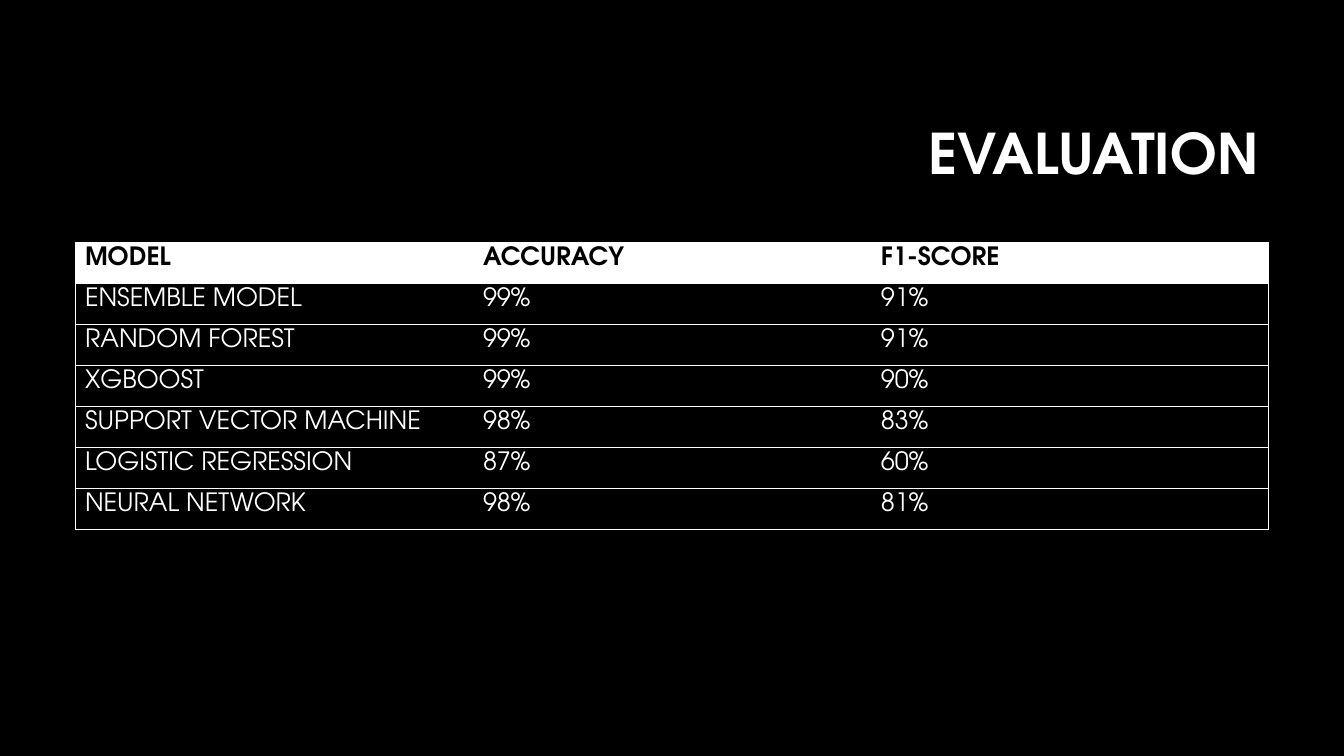
"""Build the model evaluation slide with its table of scores."""
import dataclasses
import lxml.etree
import pptx
import pptx.dml.color
import pptx.enum.text
import pptx.oxml.ns
import pptx.util


@dataclasses.dataclass(frozen=True)
class Theme:
    """Colours, font and type sizes."""
    back: str = "000000"
    ink: str = "FFFFFF"
    font: str = "TeX Gyre Adventor"
    head: int = 40
    body: int = 18
    rule: float = 0.75
    grid: str = "{2D5ABB26-0587-4C30-8999-92F81FD0307C}"


class Deck:
    """Hold the theme and the current slide."""

    def __init__(self, theme):
        """Open a wide deck with one title-only slide."""
        self.theme = theme
        self.file = pptx.Presentation()
        self.file.slide_width = self.px(1344)
        self.file.slide_height = self.px(756)
        self.slide = self.file.slides.add_slide(self.file.slide_layouts[5])
        self.paint(self.slide.background.fill, theme.back)

    def px(self, size):
        """Turn whole px into EMU."""
        return pptx.util.Emu(round(size * 12192000 / 1344))

    def paint(self, fill, tint):
        """Fill with one solid colour."""
        fill.solid()
        fill.fore_color.rgb = pptx.dml.color.RGBColor.from_string(tint)

    def style(self, font, size, tint, bold):
        """Set the face, size, colour and weight of a font."""
        font.name = self.theme.font
        font.size = pptx.util.Pt(size)
        font.bold = bold
        font.color.rgb = pptx.dml.color.RGBColor.from_string(tint)

    def title(self, text, left, top, width, height):
        """Place and format the slide title."""
        box = self.slide.shapes.title
        box.left, box.top = self.px(left), self.px(top)
        box.width, box.height = self.px(width), self.px(height)
        frame = box.text_frame
        frame.text = text
        frame.word_wrap = True
        frame.vertical_anchor = pptx.enum.text.MSO_ANCHOR.MIDDLE
        para = frame.paragraphs[0]
        para.alignment = pptx.enum.text.PP_ALIGN.RIGHT
        para.line_spacing = 0.9
        self.style(para.font, self.theme.head, self.theme.ink, True)

    def edge(self, cell, sides):
        """Draw the named sides of a cell, in schema order."""
        qn = pptx.oxml.ns.qn
        props = cell._tc.get_or_add_tcPr()
        for spot, side in enumerate(sides):
            line = lxml.etree.Element(qn(f"a:ln{side}"))
            line.set("w", str(pptx.util.Pt(self.theme.rule)))
            fill = lxml.etree.SubElement(line, qn("a:solidFill"))
            lxml.etree.SubElement(fill, qn("a:srgbClr")).set("val", self.theme.ink)
            props.insert(spot, line)

    def table(self, rows, left, top, wide, high):
        """Add a ruled table with a filled heading row."""
        count = len(rows[0])
        grid = self.slide.shapes.add_table(
            len(rows), count, self.px(left), self.px(top),
            self.px(wide * count), self.px(high * len(rows))).table
        grid.horz_banding = False
        grid._tbl.tblPr.find(pptx.oxml.ns.qn("a:tableStyleId")).text = self.theme.grid
        for col in grid.columns:
            col.width = self.px(wide)
        for i, row in enumerate(rows):
            grid.rows[i].height = self.px(high)
            for j, text in enumerate(row):
                cell = grid.cell(i, j)
                cell.text = text
                first = i == 0
                tint = self.theme.back if first else self.theme.ink
                font = cell.text_frame.paragraphs[0].font
                self.style(font, self.theme.body, tint, first)
                if first:
                    self.paint(cell.fill, self.theme.ink)
                else:
                    cell.fill.background()
                ends = ("L" if j == 0 else "") + ("R" if j == count - 1 else "")
                self.edge(cell, ends + "TB")


def main():
    """Build and save the slide."""
    deck = Deck(Theme())
    deck.title("EVALUATION", 320, 85, 949, 142)
    rows = [
        ("MODEL", "ACCURACY", "F1-SCORE"),
        ("ENSEMBLE MODEL", "99%", "91%"),
        ("RANDOM FOREST", "99%", "91%"),
        ("XGBOOST", "99%", "90%"),
        ("SUPPORT VECTOR MACHINE", "98%", "83%"),
        ("LOGISTIC REGRESSION", "87%", "60%"),
        ("NEURAL NETWORK", "98%", "81%"),
    ]
    deck.table(rows, 75, 242, 398, 41)
    deck.file.save("out.pptx")


if __name__ == "__main__":
    main()
